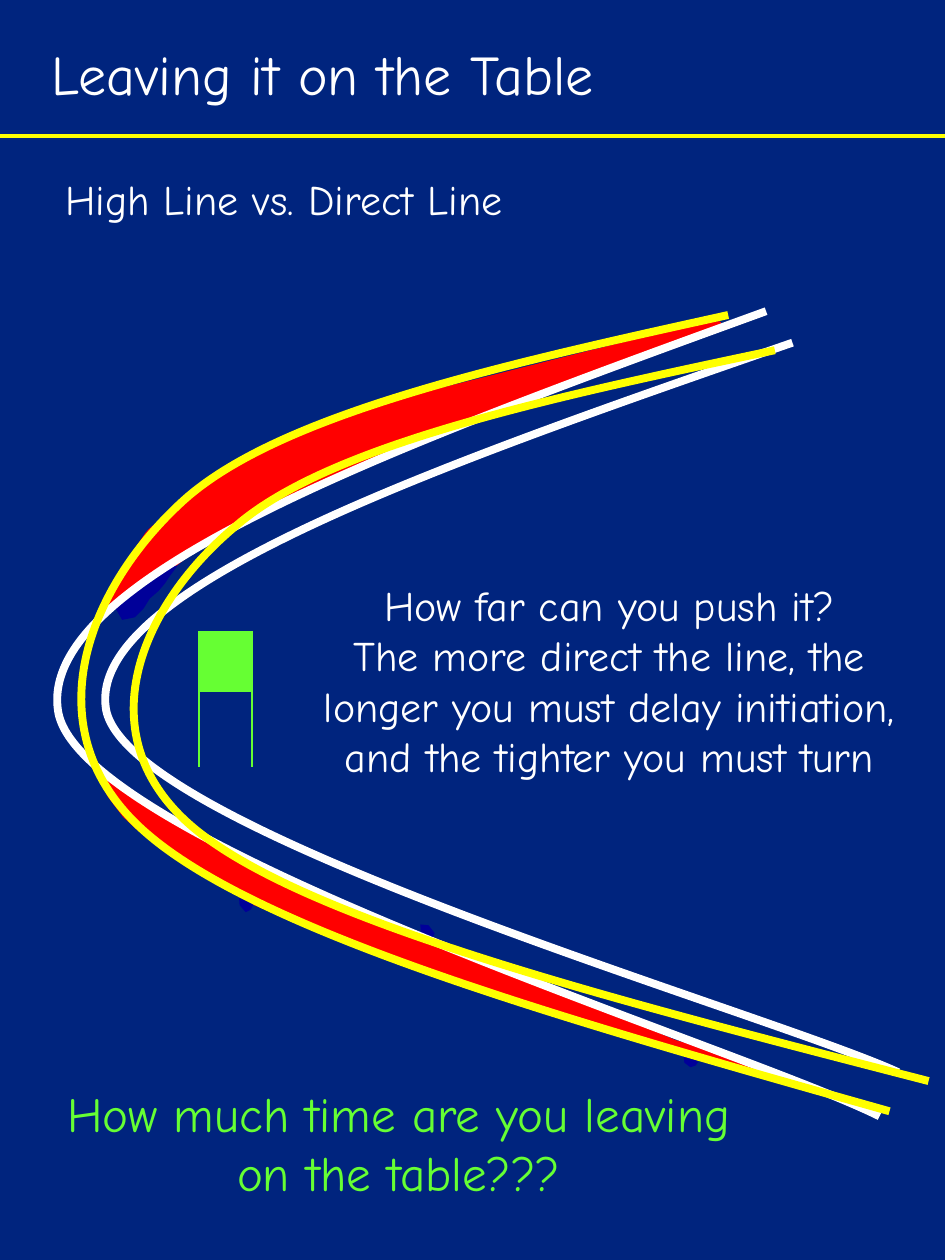
from dataclasses import dataclass
from math import cos, radians, sin
from typing import Optional

from lxml.etree import SubElement
from pptx import Presentation
from pptx.dml.color import RGBColor
from pptx.enum.shapes import MSO_CONNECTOR, MSO_SHAPE
from pptx.enum.text import MSO_ANCHOR, PP_ALIGN
from pptx.oxml.ns import qn
from pptx.util import Cm, Pt

FONT = "Comic Neue"
NAVY, BLUE, RED = "00247E", "000099", "FF0000"
WHITE, YELLOW, GREEN = "FFFFFF", "FFFF00", "66FF33"
STEPS = 24  # samples per curve when measuring it

Point = tuple[float, float]


@dataclass
class Curve:
    """Cubic pieces: a start, then two handles and an end for each."""
    points: list[Point]
    angle: float
    line: str
    width: float = 4.5
    fill: Optional[str] = None


@dataclass
class Patch:
    points: list[Point]
    fill: str
    line: Optional[str] = None


@dataclass
class Note:
    lines: list[str]
    box: tuple[float, float, float, float]
    size: float
    color: str = WHITE
    align: PP_ALIGN = PP_ALIGN.CENTER
    anchor: MSO_ANCHOR = MSO_ANCHOR.TOP
    space: Optional[float] = None


def inch(value: float) -> int:
    return Cm(value * 2.54)


def paint(part, color: Optional[str]) -> None:
    """Colour a fill or a font; None leaves a fill empty."""
    if color is None:
        part.background()
        return
    if hasattr(part, "solid"):
        part.solid()
        part = part.fore_color
    else:
        part = part.color
    part.rgb = RGBColor.from_string(color)


def style(shape, fill: Optional[str], line: Optional[str], width: float = 0.75) -> None:
    shape.shadow.inherit = False
    paint(shape.fill, fill)
    paint(shape.line.fill, line)
    if line:
        shape.line.width = Pt(width)


def outline(shapes, points: list[Point], close: bool):
    dots = [(inch(x), inch(y)) for x, y in points]
    form = shapes.build_freeform(*dots[0], scale=1.0)
    form.add_line_segments(dots[1:], close=close)
    return form.convert_to_shape()


def bounds(points: list[Point]) -> tuple[float, float, float, float]:
    """Left, top, width and height of the cubic pieces."""
    spots = []
    for i in range(0, len(points) - 1, 3):
        for n in range(STEPS + 1):
            t = n / STEPS
            parts = ((1 - t) ** 3, 3 * t * (1 - t) ** 2, 3 * t * t * (1 - t), t ** 3)
            spots.append([sum(w * p[k] for w, p in zip(parts, points[i:i + 4]))
                          for k in (0, 1)])
    xs, ys = zip(*spots)
    return min(xs), min(ys), max(xs) - min(xs), max(ys) - min(ys)


def turn(points: list[Point], angle: float) -> list[Point]:
    c, s = cos(radians(angle)), sin(radians(angle))
    return [(x * c - y * s, x * s + y * c) for x, y in points]


def draw_curve(shapes, curve: Curve) -> None:
    level = turn(curve.points, -curve.angle)
    shape = outline(shapes, level, curve.fill is not None)
    left, top, wide, high = bounds(level)

    # Join each three straight pieces into one cubic piece
    track = next(shape._element.iter(qn("a:path")))
    legs = track.findall(qn("a:lnTo"))
    for i in range(0, len(legs), 3):
        bend = track.makeelement(qn("a:cubicBezTo"))
        legs[i].addprevious(bend)
        for leg in legs[i:i + 3]:
            bend.append(leg[0])
            track.remove(leg)

    # Fit the frame to the curve, not to its handles
    dx, dy = inch(left) - shape.left, inch(top) - shape.top
    for dot in track.iter(qn("a:pt")):
        dot.set("x", str(int(dot.get("x")) - dx))
        dot.set("y", str(int(dot.get("y")) - dy))
    track.set("w", str(inch(wide)))
    track.set("h", str(inch(high)))
    [(x, y)] = turn([(left + wide / 2, top + high / 2)], curve.angle)
    shape.left, shape.top = inch(x - wide / 2), inch(y - high / 2)
    shape.width, shape.height = inch(wide), inch(high)
    shape.rotation = curve.angle
    style(shape, curve.fill, curve.line, curve.width)


def draw_patch(shapes, patch: Patch) -> None:
    style(outline(shapes, patch.points, True), patch.fill, patch.line)


def draw_line(shapes, start: Point, end: Point, color: str, width: float) -> None:
    line = shapes.add_connector(MSO_CONNECTOR.STRAIGHT, *map(inch, start + end))
    paint(line.line.fill, color)
    line.line.width = Pt(width)
    SubElement(line._element.spPr, qn("a:effectLst"))


def draw_note(shapes, note: Note) -> None:
    frame = shapes.add_textbox(*map(inch, note.box)).text_frame
    frame.word_wrap = True
    frame.vertical_anchor = note.anchor
    frame.text = "\n".join(note.lines)
    for para in frame.paragraphs:
        para.alignment = note.align
        para.line_spacing = note.space
        para.font.name, para.font.size = FONT, Pt(note.size)
        paint(para.font, note.color)


def spot(x: float, y: float, w: float, h: float) -> Patch:
    shape = [(0.05, 0.05), (0.1, 0.6), (0.5, 1), (0.85, 0.85), (1, 0.55), (0.6, 0.1)]
    return Patch([(x + w * u, y + h * v) for u, v in shape], BLUE)


# Areas between the two lines
PATCHES = [
    Patch([(1.56, 6.84), (1.63, 6.82), (1.7, 6.9), (1.74, 6.97), (1.67, 6.98),
           (1.62, 6.96), (1.6, 6.89)], RED, RED),
    Patch([(0.83, 6.16), (0.99, 6.27), (1.17, 6.4), (1.37, 6.52), (1.62, 6.65),
           (1.82, 6.77), (1.93, 6.81), (2.01, 6.92), (2.17, 6.95), (2.45, 7.09),
           (2.76, 7.23), (3.05, 7.36), (3.3, 7.41), (3.43, 7.44), (3.62, 7.52),
           (3.89, 7.66), (4.26, 7.79), (4.51, 7.9), (4.76, 7.99), (5.08, 8.14),
           (5.36, 8.26), (5.65, 8.34), (5.95, 8.45), (6.1, 8.54), (6.02, 8.54),
           (5.69, 8.44), (5.24, 8.32), (4.88, 8.2), (4.43, 8.05), (3.99, 7.91),
           (3.47, 7.76), (3.07, 7.59), (2.82, 7.51), (2.56, 7.4), (2.36, 7.32),
           (2.02, 7.18), (1.78, 7.02), (1.68, 6.92), (1.45, 6.82), (1.27, 6.71),
           (1.1, 6.59), (0.98, 6.48), (0.86, 6.32), (0.8, 6.2)], RED, RED),
    spot(3.33, 7.33, 0.12, 0.14),
    Patch([(1.07, 4.49), (0.94, 4.59), (0.91, 4.64), (0.86, 4.73), (0.84, 4.78),
           (0.91, 4.81), (0.97, 4.77), (1.03, 4.66), (1.03, 4.53), (1, 4.5)], RED),
]
GAP = Curve([(0.99, 4.88), (1.07, 4.87), (1.22, 4.59), (1.53, 4.39), (1.84, 4.19),
             (2.39, 3.9), (2.85, 3.69), (3.31, 3.48), (3.85, 3.3), (4.28, 3.14),
             (4.72, 2.97), (5.24, 2.79), (5.46, 2.69), (5.67, 2.6), (5.85, 2.52),
             (5.59, 2.57), (5.34, 2.62), (4.39, 2.86), (3.92, 2.98), (3.44, 3.1),
             (3.08, 3.18), (2.75, 3.29), (2.43, 3.4), (2.19, 3.51), (1.97, 3.63),
             (1.75, 3.74), (1.55, 3.91), (1.44, 3.99), (1.32, 4.07), (1.35, 4.07),
             (1.3, 4.11), (1.26, 4.15), (1.21, 4.17), (1.16, 4.23), (1.12, 4.29),
             (1.05, 4.38), (1.02, 4.49), (0.99, 4.59), (0.9, 4.9), (0.99, 4.88)],
            4.4, RED, 0.75, RED)
SHADE = Patch([(0.91, 4.82), (0.93, 4.85), (0.97, 4.92), (1.07, 4.9), (1.14, 4.83),
               (1.19, 4.75), (1.26, 4.69), (1.31, 4.63), (1.35, 4.57), (1.41, 4.49),
               (1.33, 4.49), (1.13, 4.63), (1.03, 4.7), (0.96, 4.79)], BLUE)

# Ski tracks: direct in white, high in yellow
DIRECT = [
    Curve([(6.08, 2.47), (3.19, 3.52), (0.3, 4.57), (0.46, 5.64), (0.61, 6.7),
           (5.9, 8.32), (6.98, 8.86)], -4.4, WHITE),
    Curve([(6.29, 2.72), (3.49, 3.69), (0.7, 4.66), (0.84, 5.62), (0.98, 6.59),
           (6.08, 8.03), (7.13, 8.51)], -4.4, WHITE),
]
INNER = Curve([(6.15, 2.78), (4.4, 3.15), (2.65, 3.52), (1.89, 4.16), (1.12, 4.79),
               (0.65, 5.85), (1.56, 6.59), (2.48, 7.33), (4.93, 7.95), (7.37, 8.58)],
              -5.8, YELLOW)
OUTER = Curve([(5.78, 2.5), (4.01, 2.89), (2.24, 3.28), (1.47, 3.96), (0.7, 4.65),
               (0.23, 5.8), (1.16, 6.61), (2.09, 7.42), (4.58, 8.12), (7.06, 8.82)],
              -5.8, YELLOW)

TITLE = Note(["Leaving it on the Table"], (0.31, 0.22, 6.94, 0.78), 32,
             align=PP_ALIGN.LEFT, anchor=MSO_ANCHOR.MIDDLE, space=0.9)
NOTES = [
    Note(["High Line vs. Direct Line"], (0.42, 1.33, 4, 0.5), 24, align=PP_ALIGN.LEFT),
    Note(["How far can you push it?",
          "The more direct the line, the longer you must delay initiation, "
          "and the tighter you must turn"], (2.42, 4.55, 4.83, 2.1), 24),
    Note(["How much time are you leaving on the table???"],
         (0.25, 8.55, 5.83, 1.03), 28, GREEN),
]


def draw_gate(shapes) -> None:
    left, top, wide = 1.58, 5.01, 0.42
    gate = shapes.add_group_shape().shapes
    flag = gate.add_shape(MSO_SHAPE.RECTANGLE, *map(inch, (left, top, wide, 0.48)))
    style(flag, GREEN, GREEN)
    for x in (left, left + wide):
        draw_line(gate, (x, top), (x, top + 1.08), GREEN, 1.5)


def main() -> None:
    deck = Presentation()
    deck.slide_width, deck.slide_height = inch(7.5), inch(10)
    slide = deck.slides.add_slide(deck.slide_layouts[6])
    shapes = slide.shapes
    paint(slide.background.fill, NAVY)
    draw_line(shapes, (0, 1.08), (7.5, 1.08), YELLOW, 2.25)

    # Filled areas lie under the tracks
    for patch in PATCHES:
        draw_patch(shapes, patch)
    draw_curve(shapes, GAP)
    draw_patch(shapes, SHADE)
    draw_note(shapes, TITLE)

    # Tracks and gate
    for curve in DIRECT:
        draw_curve(shapes, curve)
    draw_gate(shapes)
    draw_curve(shapes, INNER)
    for patch in (spot(1.89, 7.1, 0.12, 0.14), spot(5.42, 8.38, 0.12, 0.09)):
        draw_patch(shapes, patch)
    draw_curve(shapes, OUTER)

    for note in NOTES:
        draw_note(shapes, note)
    deck.save("out.pptx")


if __name__ == "__main__":
    main()
